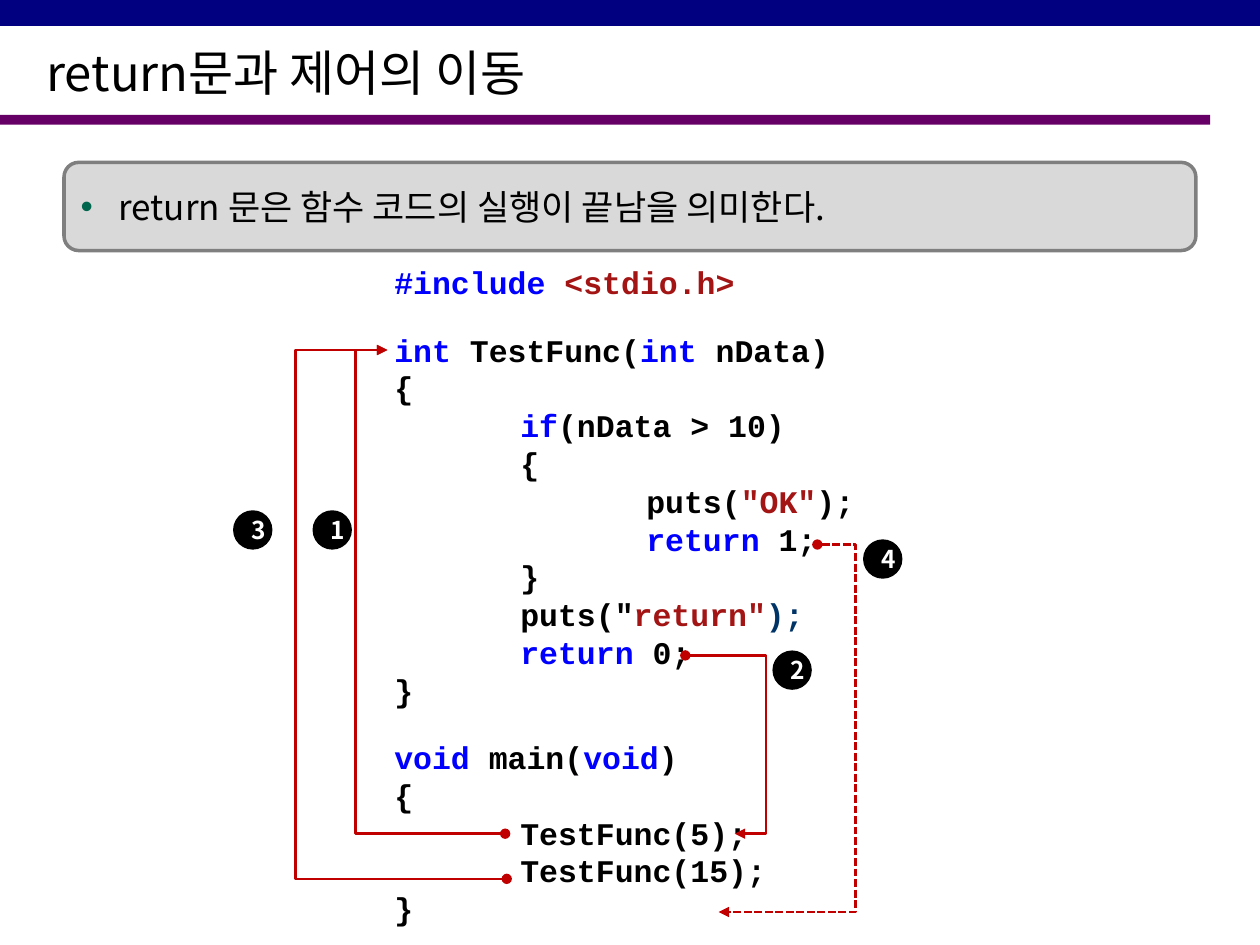
import pptx
import pptx.util
import pptx.dml.color
import pptx.enum.dml
import pptx.enum.shapes
import pptx.enum.text
import pptx.oxml
import pptx.oxml.ns

Pt = pptx.util.Pt
SHAPE = pptx.enum.shapes.MSO_SHAPE
MIDDLE = pptx.enum.text.MSO_ANCHOR.MIDDLE
ALIGN = pptx.enum.text.PP_ALIGN

COLORS = {
    "navy": "000080", "purple": "660066", "panel": "D9D9D9", "border": "7F7F7F",
    "bullet": "00664D", "text": "000000", "white": "FFFFFF", "keyword": "0000FF",
    "string": "A31515", "ink": "003366", "arrow": "C00000",
}
SANS, MONO = "Noto Sans CJK KR", "Courier New"

# Code blocks: each line is a list of (text, color) pieces
CODE = [
    [
        [("#include ", "keyword"), ("<stdio.h>", "string")],
    ],
    [
        [("int ", "keyword"), ("TestFunc(", "text"), ("int ", "keyword"), ("nData)", "text")],
        [("{", "text")],
        [("\tif", "keyword"), ("(nData > 10)", "text")],
        [("\t{", "text")],
        [("\t\tputs(", "text"), ('"OK"', "string"), (");", "text")],
        [("\t\treturn ", "keyword"), ("1;", "text")],
        [("\t}", "text")],
        [('\tputs("', "text"), ('return"', "string"), (");", "ink")],
        [("\treturn ", "keyword"), ("0;", "text")],
        [("}", "text")],
    ],
    [
        [("void ", "keyword"), ("main(", "text"), ("void", "keyword"), (")", "text")],
        [("{", "text")],
        [("\tTestFunc(5);", "text")],
        [("\tTestFunc(15);", "text")],
        [("}", "text")],
    ],
]

# Control flow: start, x of the vertical run, end, dashed
FLOWS = [
    ((288.7, 476.4), 203.3, (221.4, 200), False),
    ((289.6, 502.2), 168.8, (221.4, 200), False),
    ((391.6, 374.5), 437.8, (419.8, 476.4), False),
    ((467.1, 311.2), 488.8, (410.7, 521.2), True),
]
BADGES = [("1", 178.6, 291.6), ("4", 493.2, 308.2), ("3", 133.2, 291.6), ("2", 441.4, 371.7)]
BADGE_SIZE = 22.5


def color(name):
    return pptx.dml.color.RGBColor.from_string(COLORS[name])


def add_element(parent, xml):
    """Append a drawing element written without its namespace declaration."""
    tag, rest = xml[:2], xml[2:]
    name, space, tail = rest.partition(" ")
    if not space:
        name, tail = rest[:-2], "/>"
    declared = f"{tag}{name} {pptx.oxml.ns.nsdecls('a')} {tail}"
    parent.append(pptx.oxml.parse_xml(declared))


def format_span(span, font, size, tint, bold=False):
    span.font.name = font
    span.font.size = Pt(size)
    span.font.bold = bold
    span.font.color.rgb = color(tint)
    if font == SANS:
        add_element(span.font._element, f'<a:ea typeface="{font}"/>')


def add_filled(page, kind, box, fill):
    shape = page.shapes.add_shape(kind, *map(Pt, box))
    shape.shadow.inherit = False
    shape.fill.solid()
    shape.fill.fore_color.rgb = color(fill)
    shape.line.fill.background()
    return shape


def add_header(page, box):
    left, top, width, height = box
    add_filled(page, SHAPE.RECTANGLE, (left, top + 65.7, 691.6, 5.6), "purple")
    add_filled(page, SHAPE.RECTANGLE, (left, top, width, 14.8), "navy")
    title = page.shapes.title
    title.left, title.top = Pt(left + 19.4), Pt(top + 20.2)
    title.width, title.height = Pt(646.6), Pt(41.8)
    frame = title.text_frame
    frame.text = "return문과 제어의 이동"
    frame.auto_size = pptx.enum.text.MSO_AUTO_SIZE.NONE
    frame.vertical_anchor = MIDDLE
    para = frame.paragraphs[0]
    para.alignment = ALIGN.LEFT
    format_span(para.runs[0], SANS, 28, "text")


def add_callout(page, box):
    panel = add_filled(page, SHAPE.ROUNDED_RECTANGLE, box, "panel")
    panel.line.color.rgb = color("border")
    panel.line.width = Pt(2)
    frame = panel.text_frame
    frame.vertical_anchor = MIDDLE
    para = frame.paragraphs[0]
    para.text = "return 문은 함수 코드의 실행이 끝남을 의미한다."
    para.alignment = ALIGN.LEFT
    props = para._p.get_or_add_pPr()
    props.set("marL", str(Pt(21.6)))
    props.set("indent", str(Pt(-21.6)))
    add_element(props, f'<a:buClr ><a:srgbClr val="{COLORS["bullet"]}"/></a:buClr>')
    add_element(props, '<a:buFont typeface="Arial"/>')
    add_element(props, '<a:buChar char="•"/>')
    format_span(para.runs[0], SANS, 20, "text")


def add_code(page, box):
    frame = page.shapes.add_textbox(*map(Pt, box)).text_frame
    frame.word_wrap = True
    frame.vertical_anchor = MIDDLE
    stops = "".join(f'<a:tab pos="{Pt(72 * n)}" algn="l"/>' for n in range(1, 8))
    for block_number, block in enumerate(CODE):
        for line_number, line in enumerate(block):
            first = block_number == line_number == 0
            para = frame.paragraphs[0] if first else frame.add_paragraph()
            add_element(para._p.get_or_add_pPr(), f"<a:tabLst >{stops}</a:tabLst>")
            para.line_spacing = Pt(21.6)
            if block_number and not line_number:
                para.space_before = Pt(16.8)
            for text, tint in line:
                span = para.add_run()
                span.text = text
                format_span(span, MONO, 18, tint, True)


def add_flow(page, start, turn, end, dashed):
    arrow = page.shapes.add_connector(
        pptx.enum.shapes.MSO_CONNECTOR.ELBOW, *map(Pt, start + end))
    bend = round(100000 * (turn - start[0]) / (end[0] - start[0]))
    props = arrow._element.spPr
    guides = props.find(pptx.oxml.ns.qn("a:prstGeom")).get_or_add_avLst()
    add_element(guides, f'<a:gd name="adj1" fmla="val {bend}"/>')
    arrow.line.color.rgb = color("arrow")
    arrow.line.width = Pt(1.5)
    if dashed:
        arrow.line.dash_style = pptx.enum.dml.MSO_LINE.SQUARE_DOT
    outline = arrow.line._get_or_add_ln()
    add_element(outline, '<a:headEnd type="oval"/>')
    add_element(outline, '<a:tailEnd type="triangle"/>')
    add_element(props, "<a:effectLst/>")


def add_badge(page, label, box):
    badge = add_filled(page, SHAPE.OVAL, box, "text")
    frame = badge.text_frame
    frame.text = label
    frame.vertical_anchor = MIDDLE
    para = frame.paragraphs[0]
    para.alignment = ALIGN.CENTER
    format_span(para.runs[0], SANS, 14, "white", True)


def main():
    deck = pptx.Presentation()
    deck.slide_width, deck.slide_height = Pt(720), Pt(540)
    page = deck.slides.add_slide(deck.slide_layouts[5])
    add_header(page, (0, 0, 720, 71.3))
    add_callout(page, (36.6, 92.8, 646.8, 50.4))
    add_code(page, (218.2, 146.9, 306, 386.6))
    for flow in FLOWS:
        add_flow(page, *flow)
    for label, left, top in BADGES:
        add_badge(page, label, (left, top, BADGE_SIZE, BADGE_SIZE))
    deck.save("out.pptx")


if __name__ == "__main__":
    main()
